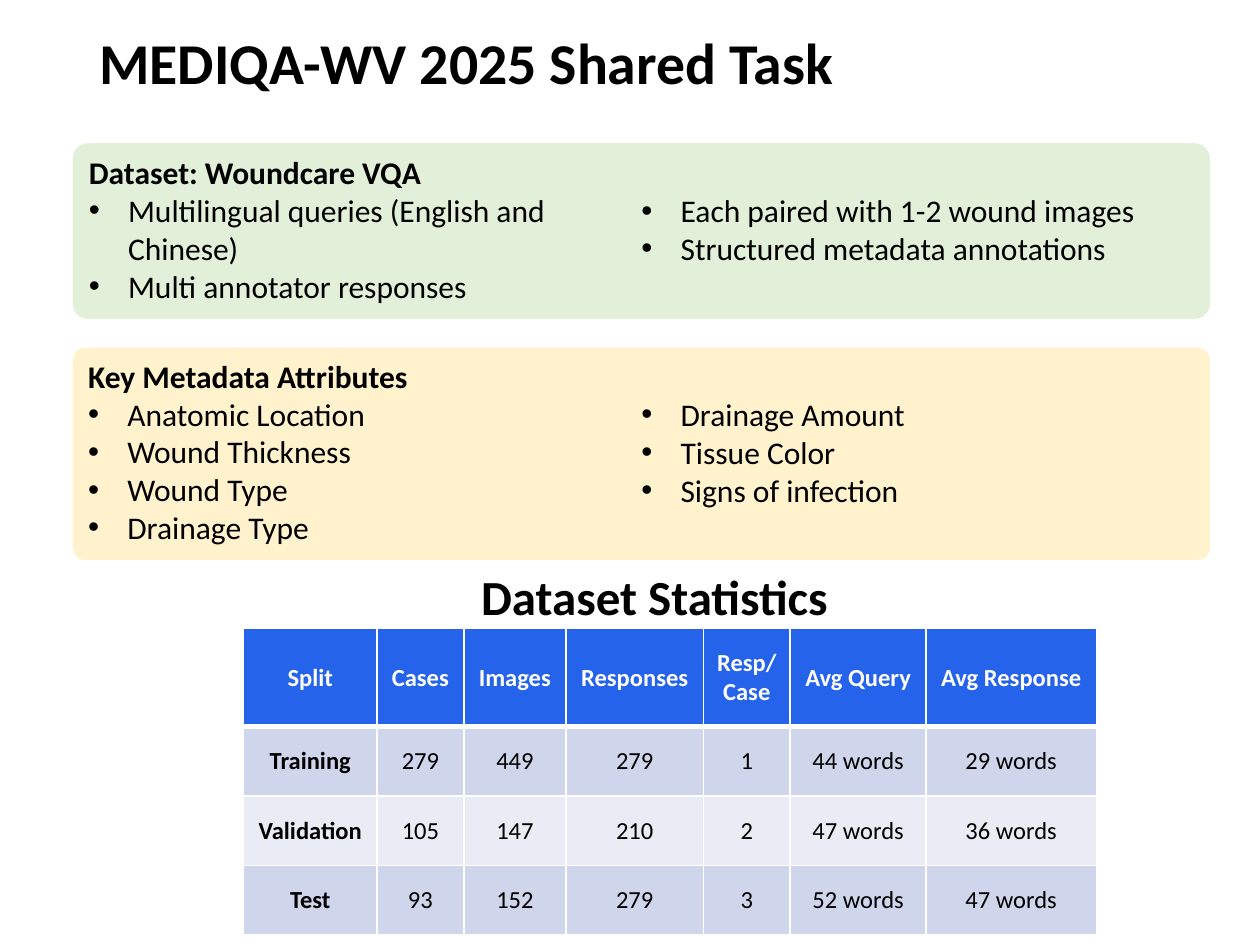
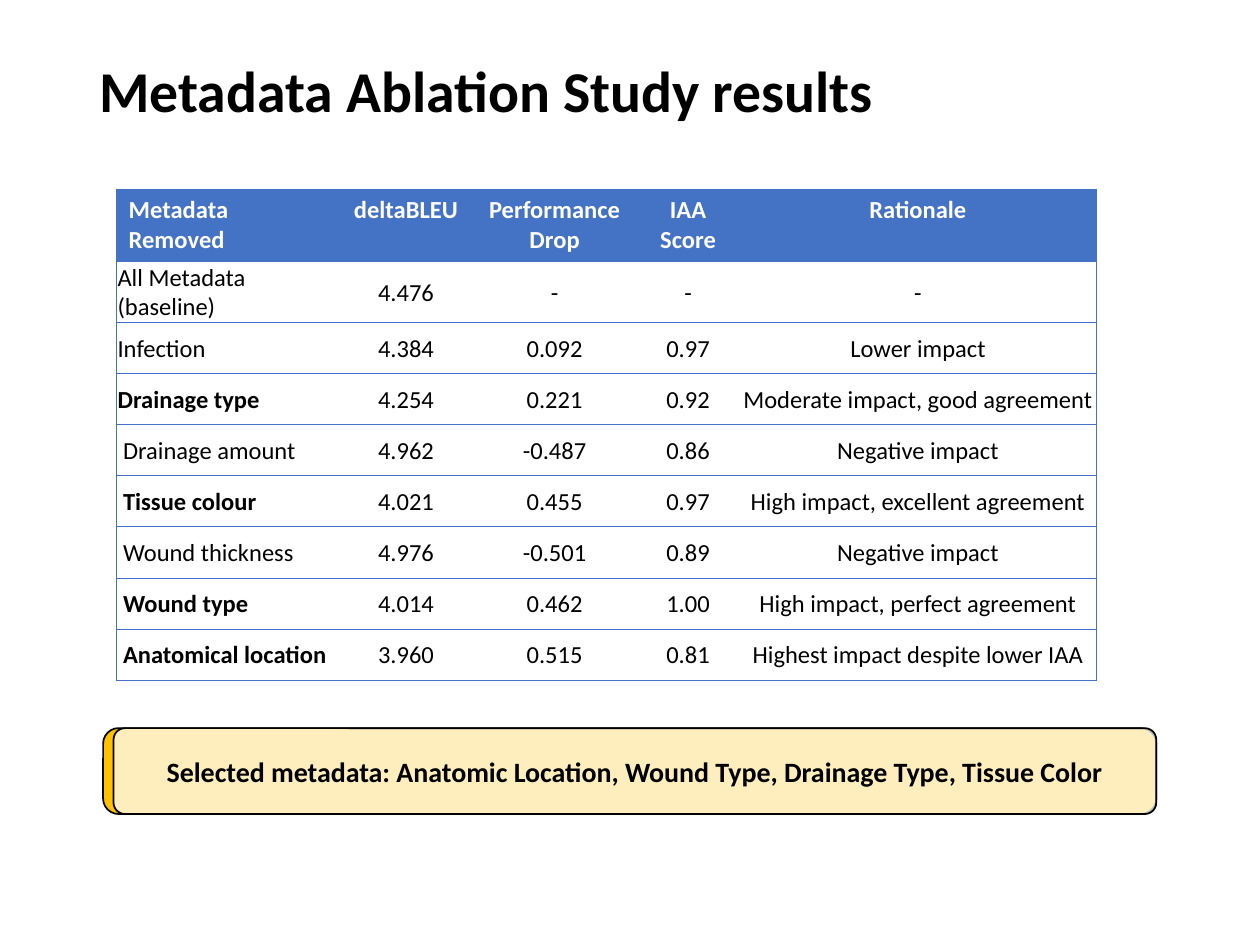
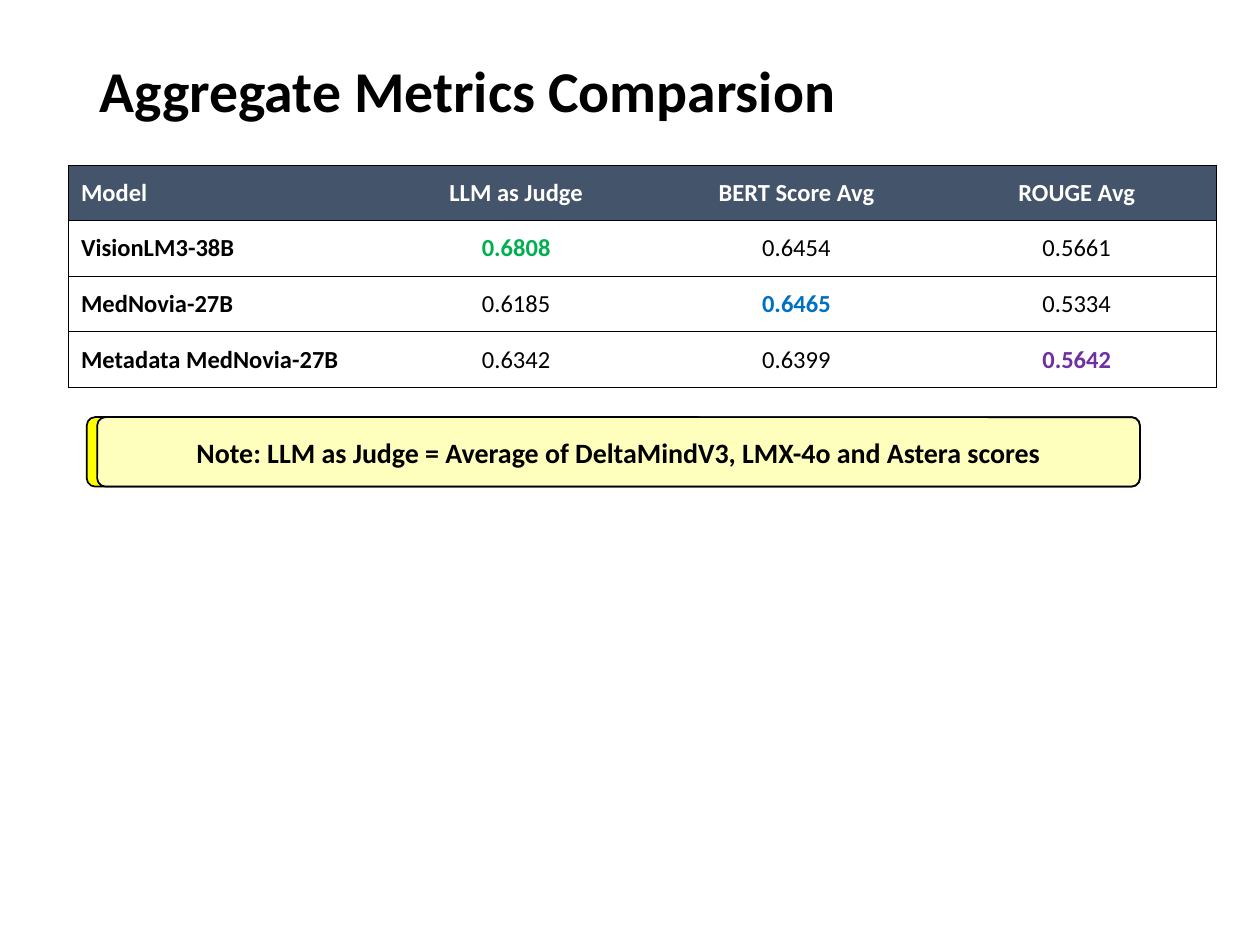
from collections import namedtuple

from lxml import etree
from pptx import Presentation
from pptx.dml.color import RGBColor
from pptx.enum.shapes import MSO_SHAPE
from pptx.enum.text import MSO_ANCHOR, MSO_AUTO_SIZE, PP_ALIGN
from pptx.oxml.ns import qn
from pptx.util import Cm, Pt

LEFT, CENTER = PP_ALIGN.LEFT, PP_ALIGN.CENTER
TOP, MIDDLE = MSO_ANCHOR.TOP, MSO_ANCHOR.MIDDLE
NO_AUTOFIT = MSO_AUTO_SIZE.NONE
ROUNDED = MSO_SHAPE.ROUNDED_RECTANGLE

FONT = "Calibri"
BLACK = RGBColor(0x00, 0x00, 0x00)
WHITE = RGBColor(0xFF, 0xFF, 0xFF)
PALE_GREEN = RGBColor(0xE2, 0xF0, 0xD9)
PALE_YELLOW = RGBColor(0xFF, 0xF2, 0xCC)
HEADER_BLUE = RGBColor(0x25, 0x63, 0xEB)
BAND_DARK = RGBColor(0xCF, 0xD5, 0xEA)
BAND_LIGHT = RGBColor(0xE9, 0xEB, 0xF5)
ABLATION_BLUE = RGBColor(0x44, 0x72, 0xC4)
SLATE = RGBColor(0x44, 0x54, 0x6A)
AMBER = RGBColor(0xFF, 0xC0, 0x00)
YELLOW = RGBColor(0xFF, 0xFF, 0x00)
BEST_GREEN = RGBColor(0x00, 0xB0, 0x50)
BEST_BLUE = RGBColor(0x00, 0x70, 0xC0)
BEST_PURPLE = RGBColor(0x70, 0x30, 0xA0)

# Measures in centimetres
Box = namedtuple("Box", "left top width height")
INSET = 0.25
BULLET_INDENT = 0.79
PANEL_LINE = 0.77
CORNER = 0.32
CALLOUT_EDGE = 0.21


def lengths(box):
    return [Cm(value) for value in box]


# Text
def write_text(paragraph, text, size=14, bold=False, color=BLACK, align=LEFT,
               spacing=None, bullet=False):
    run = paragraph.add_run()
    run.text = text
    run.font.name = FONT
    run.font.size = Pt(size)
    run.font.bold = bold
    run.font.color.rgb = color
    paragraph.alignment = align
    if spacing:
        paragraph.line_spacing = spacing
    if bullet:
        properties = paragraph._p.get_or_add_pPr()
        properties.set("marL", str(Cm(BULLET_INDENT)))
        properties.set("indent", str(-Cm(BULLET_INDENT)))
        etree.SubElement(properties, qn("a:buFont")).set("typeface", "Arial")
        etree.SubElement(properties, qn("a:buChar")).set("char", "•")


def write_bullets(text_frame, items, heading=None):
    """Fill a frame with an optional bold heading and a bulleted list."""
    lines = [(heading, False)] if heading else []
    lines += [(item, True) for item in items]
    for index, (text, bullet) in enumerate(lines):
        paragraph = text_frame.add_paragraph() if index else text_frame.paragraphs[0]
        write_text(paragraph, text, size=18, bold=not bullet, bullet=bullet)


def add_label(slide, box, text, size):
    frame = slide.shapes.add_textbox(*lengths(box)).text_frame
    frame.vertical_anchor = MIDDLE
    frame.word_wrap = True
    write_text(frame.paragraphs[0], text, size=size, bold=True, spacing=0.9)


def add_titled_slide(presentation, text, title_top=1.02):
    slide = presentation.slides.add_slide(presentation.slide_layouts[5])
    title = slide.shapes.title
    title.left, title.top, title.width, title.height = lengths(
        Box(1.75, title_top, 21.9, 1.73))
    title.text_frame.auto_size = NO_AUTOFIT
    title.text_frame.vertical_anchor = MIDDLE
    write_text(title.text_frame.paragraphs[0], text, size=33, bold=True, spacing=0.9)
    return slide


# Rounded boxes
def add_rounded(shapes, box, fill, line, radius):
    shape = shapes.add_shape(ROUNDED, *lengths(box))
    shape.adjustments[0] = radius / box.height
    shape.shadow.inherit = False
    shape.fill.solid()
    shape.fill.fore_color.rgb = fill
    shape.line.color.rgb = line
    shape.line.width = Pt(1)
    shape.text_frame.word_wrap = True
    return shape


def add_panel(slide, box, fill, heading, left_items, right_items, radius=CORNER):
    """Panel with a heading over two bulleted columns."""
    corner_inset = 0.29 * radius
    column_width = box.width / 2 - corner_inset - INSET
    panel = add_rounded(slide.shapes, box, fill, WHITE, radius)
    frame = panel.text_frame
    frame.vertical_anchor = TOP
    frame.margin_right = Cm(INSET + column_width)
    write_bullets(frame, left_items, heading)

    right_column = Box(box.left + box.width / 2 - INSET,
                       box.top + corner_inset + PANEL_LINE,
                       column_width + 2 * INSET,
                       box.height - corner_inset - PANEL_LINE)
    frame = slide.shapes.add_textbox(*lengths(right_column)).text_frame
    frame.word_wrap = True
    write_bullets(frame, right_items)


def add_callout(slide, box, accent, text, back_radius, front_radius):
    """Pale box over an accent box that shows along its left edge."""
    group = slide.shapes.add_group_shape()
    add_rounded(group.shapes, box, accent, BLACK, back_radius)
    front_box = box._replace(left=box.left + CALLOUT_EDGE,
                             width=box.width - CALLOUT_EDGE)
    front = add_rounded(group.shapes, front_box, WHITE, BLACK, front_radius)
    color = front._element.spPr.find(qn("a:solidFill"))[0]
    etree.SubElement(color, qn("a:alpha")).set("val", "74000")
    front.text_frame.vertical_anchor = MIDDLE
    write_text(front.text_frame.paragraphs[0], text, size=16, bold=True, align=CENTER)


# Tables
def set_borders(cell, borders):
    """Set the sides L, R, T, B to (colour, points), or to no line for None."""
    properties = cell._tc.get_or_add_tcPr()
    for index, side in enumerate("LRTB"):
        line = etree.Element(qn("a:ln" + side))
        if borders[side]:
            color, width = borders[side]
            line.set("w", str(Pt(width)))
            fill = etree.SubElement(line, qn("a:solidFill"))
            etree.SubElement(fill, qn("a:srgbClr")).set("val", str(color))
        else:
            line.set("w", "0")
            etree.SubElement(line, qn("a:noFill"))
        properties.insert(index, line)


def outline_borders(color, last_column):
    """Rule every row, and close the table at its two outer sides."""
    def borders(row, column):
        rule = (color, 0.5)
        return {"L": rule if column == 0 else None,
                "R": rule if column == last_column else None,
                "T": rule, "B": rule}
    return borders


def grid_borders(row, column):
    thin, thick = (WHITE, 1), (WHITE, 3)
    return {"L": thin, "R": thin, "T": thick if row == 1 else thin,
            "B": thick if row == 0 else thin}


def add_data_table(slide, left, top, widths, heights, rows, header_fill, borders,
                   bands=None, bold_names=None, first_align=LEFT, highlights=None,
                   header_anchor=MIDDLE):
    """Add a table and return it; bold_names None sets all row names bold."""
    highlights = highlights or {}
    box = Box(left, top, sum(widths), sum(heights))
    table = slide.shapes.add_table(len(rows), len(widths), *lengths(box)).table
    table.horz_banding = False
    table.first_row = False
    for column, width in zip(table.columns, widths):
        column.width = Cm(width)
    for table_row, height in zip(table.rows, heights):
        table_row.height = Cm(height)

    for row, texts in enumerate(rows):
        for column, text in enumerate(texts):
            cell = table.cell(row, column)
            is_header = row == 0
            if is_header or bands:
                cell.fill.solid()
                cell.fill.fore_color.rgb = (
                    header_fill if is_header else bands[(row - 1) % len(bands)])
            else:
                cell.fill.background()
            cell.vertical_anchor = header_anchor if is_header else MIDDLE
            is_bold_name = column == 0 and (bold_names is None or text in bold_names)
            highlight = highlights.get((row, column))
            write_text(cell.text_frame.paragraphs[0], text,
                       bold=is_header or is_bold_name or highlight is not None,
                       color=WHITE if is_header else highlight or BLACK,
                       align=first_align if column == 0 else CENTER)
            set_borders(cell, borders(row, column))
    return table


# Slides
def build_shared_task(presentation):
    slide = add_titled_slide(presentation, "MEDIQA-WV 2025 Shared Task", title_top=0.46)
    rows = [
        ("Split", "Cases", "Images", "Responses", "Resp/Case", "Avg Query",
         "Avg Response"),
        ("Training", "279", "449", "279", "1", "44 words", "29 words"),
        ("Validation", "105", "147", "210", "2", "47 words", "36 words"),
        ("Test", "93", "152", "279", "3", "52 words", "47 words"),
    ]
    add_data_table(slide, 4.91, 12.67, [2.69, 1.75, 2.06, 2.77, 1.75, 2.74, 3.43],
                   [1.98] + [1.4] * 3, rows, HEADER_BLUE, grid_borders,
                   bands=[BAND_DARK, BAND_LIGHT], first_align=CENTER)
    add_panel(slide, Box(1.45, 2.87, 22.96, 3.58), PALE_GREEN,
              "Dataset: Woundcare VQA",
              ["Multilingual queries (English and Chinese)", "Multi annotator responses"],
              ["Each paired with 1-2 wound images", "Structured metadata annotations"])
    add_panel(slide, Box(1.45, 6.99, 22.96, 4.32), PALE_YELLOW,
              "Key Metadata Attributes",
              ["Anatomic Location", "Wound Thickness", "Wound Type", "Drainage Type"],
              ["Drainage Amount", "Tissue Color", "Signs of infection"], radius=0.27)
    add_label(slide, Box(9.45, 11.23, 7.75, 1.73), "Dataset Statistics", 28)


def build_ablation(presentation):
    slide = add_titled_slide(presentation, "Metadata Ablation Study results")
    rows = [
        ("Metadata Removed", "deltaBLEU", "Performance Drop", "IAA Score", "Rationale"),
        ("All Metadata (baseline)", "4.476", "-", "-", "-"),
        ("Infection", "4.384", "0.092", "0.97", "Lower impact"),
        ("Drainage type", "4.254", "0.221", "0.92", "Moderate impact, good agreement"),
        ("Drainage amount", "4.962", "-0.487", "0.86", "Negative impact"),
        ("Tissue colour", "4.021", "0.455", "0.97", "High impact, excellent agreement"),
        ("Wound thickness", "4.976", "-0.501", "0.89", "Negative impact"),
        ("Wound type", "4.014", "0.462", "1.00", "High impact, perfect agreement"),
        ("Anatomical location", "3.960", "0.515", "0.81",
         "Highest impact despite lower IAA"),
    ]
    selected = {"Drainage type", "Tissue colour", "Wound type", "Anatomical location"}
    table = add_data_table(slide, 2.34, 3.81, [4.5, 2.69, 3.3, 2.08, 7.19],
                           [1.45, 1.22] + [1.03] * 7, rows, ABLATION_BLUE,
                           outline_borders(ABLATION_BLUE, 4), bold_names=selected,
                           header_anchor=TOP)
    # Tight body cells; the lower row names are set in a little
    for row in range(1, len(rows)):
        for column in range(len(rows[0])):
            cell = table.cell(row, column)
            cell.margin_left = Cm(0.14 if column == 0 and row >= 4 else 0.03)
            cell.margin_right = cell.margin_top = Cm(0.03)
            cell.margin_bottom = 0
    add_callout(slide, Box(2.08, 14.68, 21.23, 1.73), AMBER,
                "Selected metadata: Anatomic Location, Wound Type, Drainage Type, "
                "Tissue Color", 0.31, 0.23)


def build_metrics(presentation):
    slide = add_titled_slide(presentation, "Aggregate Metrics Comparsion")
    add_callout(slide, Box(1.75, 8.41, 21.23, 1.4), YELLOW,
                "Note: LLM as Judge = Average of DeltaMindV3, LMX-4o and Astera scores",
                0.17, 0.17)
    rows = [
        ("Model", "LLM as Judge", "BERT Score Avg", "ROUGE Avg"),
        ("VisionLM3-38B", "0.6808", "0.6454", "0.5661"),
        ("MedNovia-27B", "0.6185", "0.6465", "0.5334"),
        ("Metadata MedNovia-27B", "0.6342", "0.6399", "0.5642"),
    ]
    add_data_table(slide, 1.38, 3.33, [6.2] + [5.65] * 3, [1.12] * 4, rows, SLATE,
                   outline_borders(BLACK, 3),
                   highlights={(1, 1): BEST_GREEN, (2, 2): BEST_BLUE,
                               (3, 3): BEST_PURPLE})


def main():
    presentation = Presentation()
    presentation.slide_width = Cm(25.4)
    presentation.slide_height = Cm(19.05)
    build_shared_task(presentation)
    build_ablation(presentation)
    build_metrics(presentation)
    presentation.save("out.pptx")


if __name__ == "__main__":
    main()
